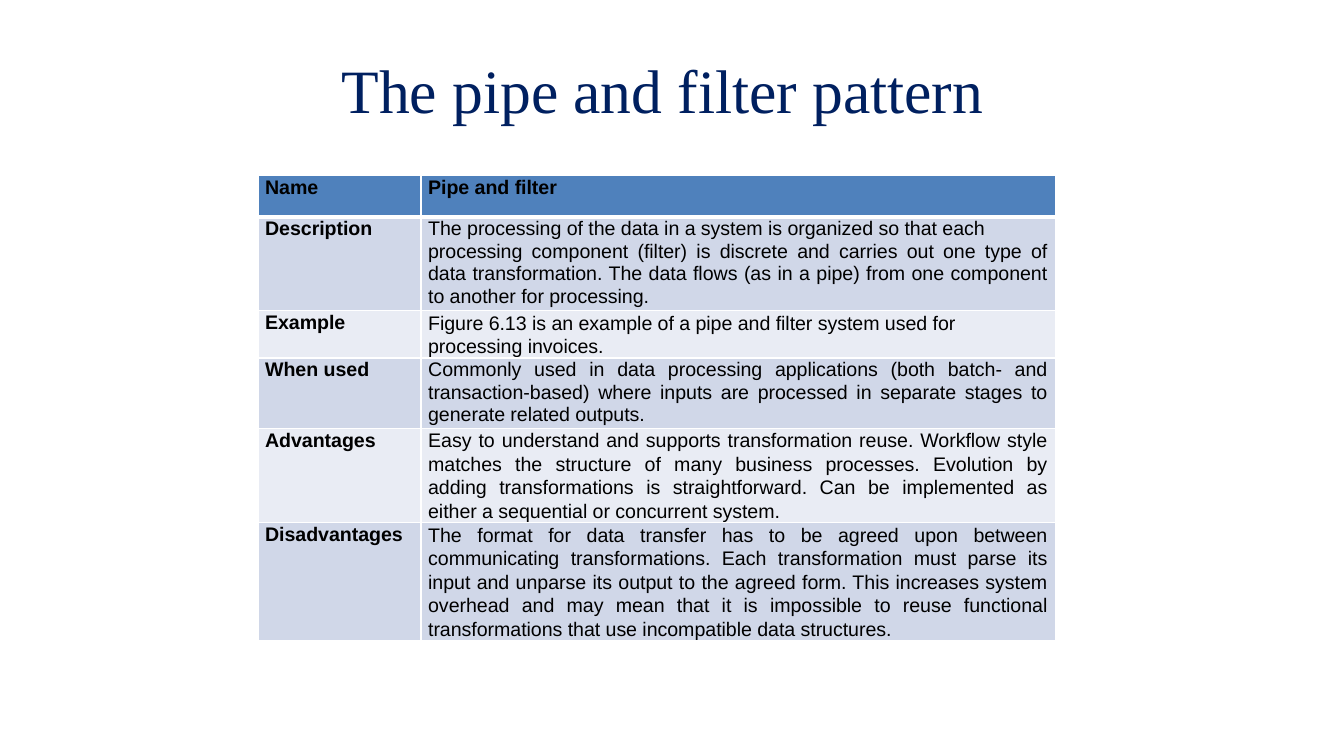
"""Build the slide that describes the pipe and filter pattern."""
from dataclasses import dataclass

from lxml import etree
from pptx import Presentation
from pptx.dml.color import RGBColor
from pptx.enum import text
from pptx.oxml import ns
from pptx.util import Cm, Pt


@dataclass(frozen=True)
class Theme:
    """Colours, fonts and type sizes of the slide."""
    title_color: str = "002060"
    text_color: str = "000000"
    header_fill: str = "4F81BC"
    band_fills: tuple = ("E9ECF4", "D0D7E8")
    border: str = "FFFFFF"
    title_font: str = "Times New Roman"
    body_font: str = "Arial"
    title_size: int = 44
    body_size: int = 14
    tracking: int = -6
    label_leading: float = 16.4


THEME = Theme()
LEFT, JUSTIFY = text.PP_ALIGN.LEFT, text.PP_ALIGN.JUSTIFY
COLUMN_WIDTHS = (4.11, 16)

ROWS = [
    ("Name", 1.04, LEFT, [("Pipe and filter", 16.4)]),
    ("Description", 2.36, JUSTIFY, [
        ("The processing of the data in a system is organized so that each", 16.4),
        ("processing component (filter) is discrete and carries out one type of "
         "data transformation. The data flows (as in a pipe) from one component "
         "to another for processing.", 16.1)]),
    ("Example", 1.19, LEFT, [
        ("Figure 6.13 is an example of a pipe and filter system used for "
         "processing invoices.", 16.8)]),
    ("When used", 1.78, JUSTIFY, [
        ("Commonly used in data processing applications (both batch- and "
         "transaction-based) where inputs are processed in separate stages to "
         "generate related outputs.", 16.2)]),
    ("Advantages", 2.37, JUSTIFY, [
        ("Easy to understand and supports transformation reuse. Workflow style "
         "matches the structure of many business processes. Evolution by "
         "adding transformations is straightforward. Can be implemented as "
         "either a sequential or concurrent system.", 16.8)]),
    ("Disadvantages", 2.97, JUSTIFY, [
        ("The format for data transfer has to be agreed upon between "
         "communicating transformations. Each transformation must parse its "
         "input and unparse its output to the agreed form. This increases system "
         "overhead and may mean that it is impossible to reuse functional "
         "transformations that use incompatible data structures.", 16.8)]),
]


def format_runs(para, font, size, color, bold=False):
    """Apply one character format to all runs of a paragraph."""
    for span in para.runs:
        span.font.name = font
        span.font.size = Pt(size)
        span.font.bold = bold
        span.font.color.rgb = RGBColor.from_string(color)
        span.font._element.set("spc", str(THEME.tracking))


def add_title(page, wording):
    """Place and format the title placeholder."""
    box = page.shapes.title
    box.left, box.top, box.width, box.height = Cm(8.61), Cm(1.27), Cm(16.66), Cm(1.93)
    frame = box.text_frame
    frame.margin_left = frame.margin_top = frame.margin_right = frame.margin_bottom = 0
    frame.vertical_anchor = text.MSO_ANCHOR.MIDDLE
    frame.text = wording
    para = frame.paragraphs[0]
    para.alignment = LEFT
    format_runs(para, THEME.title_font, THEME.title_size, THEME.title_color)


def add_borders(cell, top, bottom):
    """Draw the four cell borders, with widths in points."""
    properties = cell._tc.get_or_add_tcPr()
    for side, width in (("L", 1), ("R", 1), ("T", top), ("B", bottom)):
        line = etree.SubElement(properties, ns.qn(f"a:ln{side}"), w=str(Pt(width)))
        fill = etree.SubElement(line, ns.qn("a:solidFill"))
        etree.SubElement(fill, ns.qn("a:srgbClr"), val=THEME.border)


def fill_cell(cell, paragraphs, alignment, bold, color):
    """Write paragraphs, given as wording and leading, into a coloured cell."""
    cell.margin_left, cell.margin_right = Cm(0.18), Cm(0.22)
    cell.margin_top = cell.margin_bottom = 0
    cell.fill.solid()
    cell.fill.fore_color.rgb = RGBColor.from_string(color)
    cell.text_frame.text = "\n".join(wording for wording, _ in paragraphs)
    for para, (_, leading) in zip(cell.text_frame.paragraphs, paragraphs):
        para.alignment = alignment
        para.line_spacing = Pt(leading)
        format_runs(para, THEME.body_font, THEME.body_size, THEME.text_color, bold)


def add_pattern_table(page):
    """Add the two-column table with a header and banded rows."""
    height = sum(row[1] for row in ROWS)
    table = page.shapes.add_table(len(ROWS), len(COLUMN_WIDTHS), Cm(6.5), Cm(4.43),
                                  Cm(sum(COLUMN_WIDTHS)), Cm(height)).table
    for column, width in zip(table.columns, COLUMN_WIDTHS):
        column.width = Cm(width)
    for index, (label, row_height, alignment, paragraphs) in enumerate(ROWS):
        table.rows[index].height = Cm(row_height)
        header = index == 0
        color = THEME.header_fill if header else THEME.band_fills[index % 2]
        label_cell, detail_cell = table.rows[index].cells
        for cell in (label_cell, detail_cell):
            add_borders(cell, 3 if index == 1 else 1, 3 if header else 1)
        fill_cell(label_cell, [(label, THEME.label_leading)], LEFT, True, color)
        fill_cell(detail_cell, paragraphs, alignment, header, color)


def main():
    """Create and save the deck."""
    deck = Presentation()
    deck.slide_width, deck.slide_height = Cm(33.87), Cm(19.05)
    page = deck.slides.add_slide(deck.slide_layouts.get_by_name("Title Only"))
    add_title(page, "The pipe and filter pattern")
    add_pattern_table(page)
    deck.save("out.pptx")


if __name__ == "__main__":
    main()
